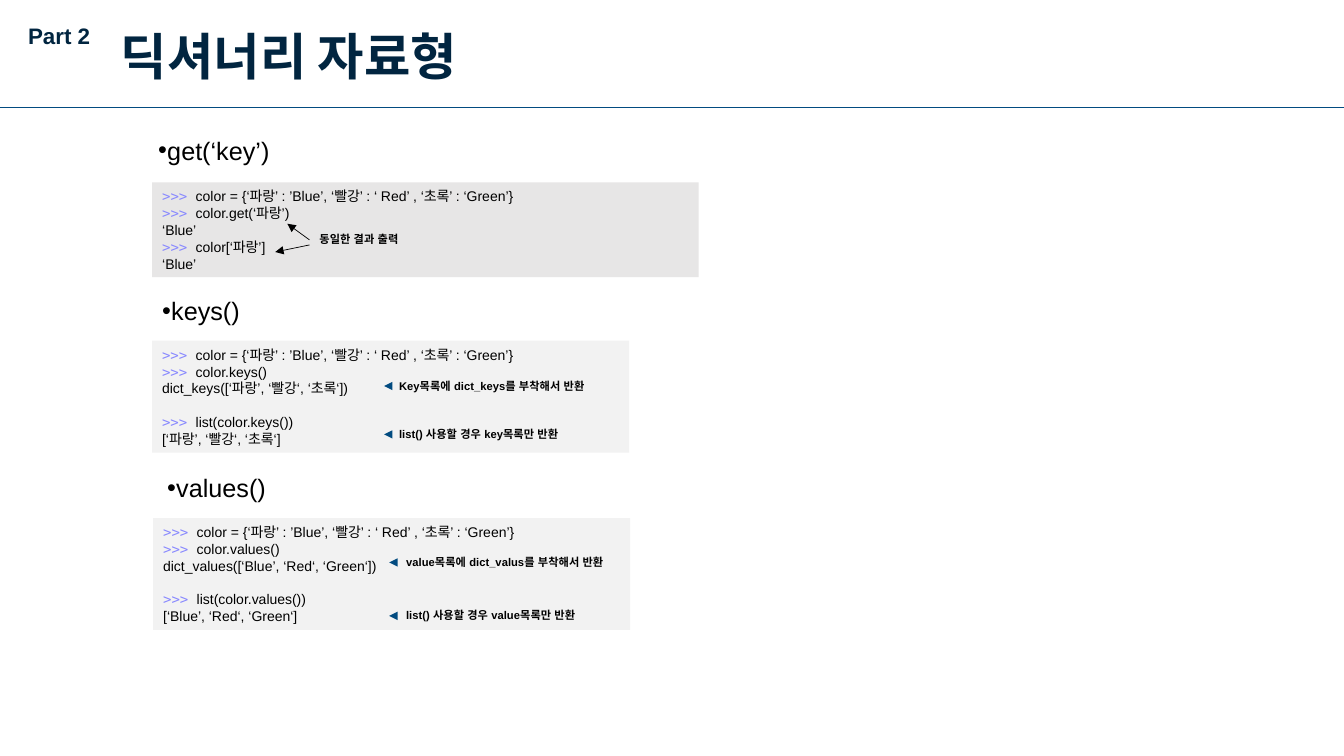
from lxml import etree
from pptx import Presentation
from pptx.dml.color import RGBColor
from pptx.enum.shapes import MSO_CONNECTOR, MSO_SHAPE
from pptx.enum.text import MSO_ANCHOR, MSO_AUTO_SIZE, PP_ALIGN
from pptx.oxml.ns import qn
from pptx.util import Inches, Pt

STRAIGHT = MSO_CONNECTOR.STRAIGHT
RECTANGLE = MSO_SHAPE.RECTANGLE
LEFT = PP_ALIGN.LEFT
MIDDLE = MSO_ANCHOR.MIDDLE
NO_AUTOFIT = MSO_AUTO_SIZE.NONE

COLORS = {
    "navy": "012540",
    "blue": "024B80",
    "prompt": "8888FF",
    "black": "000000",
    "gray": "E7E6E6",
    "light": "F2F2F2",
}
SANS, MONO, KOREAN = "Arial", "DejaVu Sans Mono", "Noto Sans CJK KR"
LEFT_SIDE = 1
PROMPT = ">>> "
ASSIGNMENT = PROMPT + "color = {‘파랑’ : ’Blue’, ‘빨강’ : ‘ Red’ , ‘초록’ : ‘Green’}"

# Each section: heading, heading position and width, code box, fill, code lines.
# An empty code line opens a gap of one line.
SECTIONS = [
    ("get(‘key’)", (1.47, 1.29, 2.51), (1.51, 1.81, 5.42, 0.94), "gray",
     [ASSIGNMENT, PROMPT + "color.get(‘파랑’)", "‘Blue’",
      PROMPT + "color[‘파랑’]", "‘Blue’"]),
    ("keys()", (1.51, 2.88, 2.24), (1.51, 3.38, 4.73, 1.11), "light",
     [ASSIGNMENT, PROMPT + "color.keys()", "dict_keys([‘파랑’, ‘빨강‘, ‘초록‘])", "",
      PROMPT + "list(color.keys())", "[‘파랑’, ‘빨강‘, ‘초록‘]"]),
    ("values()", (1.56, 4.64, 1.56), (1.52, 5.14, 4.73, 1.11), "light",
     [ASSIGNMENT, PROMPT + "color.values()", "dict_values([‘Blue’, ‘Red‘, ‘Green‘])", "",
      PROMPT + "list(color.values())", "[‘Blue’, ‘Red‘, ‘Green‘]"]),
]

# Each note: text, left, top, width, and the point its arrow ends at.
NOTES = [
    ("동일한 결과 출력", 3.07, 2.26, 1.86, (2.85, 2.22), "black"),
    ("Key목록에 dict_keys를 부착해서 반환", 3.86, 3.71, 2.14, (3.81, 3.83), "blue"),
    ("list() 사용할 경우 key목록만 반환", 3.86, 4.19, 2.04, (3.81, 4.31), "blue"),
    ("value목록에 dict_valus를 부착해서 반환", 3.93, 5.46, 2.25, (3.86, 5.58), "blue"),
    ("list() 사용할 경우 value목록만 반환", 3.93, 5.99, 2.04, (3.86, 6.11), "blue"),
]

presentation = Presentation()
presentation.slide_width = Inches(13.33)
presentation.slide_height = Inches(7.5)
slide = presentation.slides.add_slide(presentation.slide_layouts[5])


def add_run(paragraph, text, size, color="black", font_name=SANS, bold=False):
    """Add a run with one font for Latin and Korean, so quotes stay narrow."""
    run = paragraph.add_run()
    run.text = text
    run.font.size = Pt(size)
    run.font.bold = bold
    run.font.color.rgb = RGBColor.from_string(COLORS[color])
    run.font.name = font_name
    east_asian = etree.SubElement(run.font._element, qn("a:ea"))
    east_asian.set("typeface", font_name)


def add_line(start, end, color, arrow=True):
    points = [Inches(value) for value in (*start, *end)]
    connector = slide.shapes.add_connector(STRAIGHT, *points)
    connector.line.width = Pt(0.5)
    connector.line.color.rgb = RGBColor.from_string(COLORS[color])
    if arrow:
        tail = etree.SubElement(connector.line._get_or_add_ln(), qn("a:tailEnd"))
        tail.set("type", "triangle")
    etree.SubElement(connector._element.spPr, qn("a:effectLst"))
    return connector


# Header
add_line((0, 1.07), (13.33, 1.07), "blue", arrow=False)

part_label = slide.shapes.add_textbox(Inches(0.18), Inches(0.17), Inches(0.92), Inches(0.37))
part_label.text_frame.word_wrap = True
add_run(part_label.text_frame.paragraphs[0], "Part 2", 16, "navy", bold=True)

title = slide.shapes.title
title.left, title.top = Inches(1.1), Inches(0.19)
title.width, title.height = Inches(4.12), Inches(0.71)
title.text_frame.auto_size = NO_AUTOFIT
title.text_frame.vertical_anchor = MIDDLE
title_paragraph = title.text_frame.paragraphs[0]
title_paragraph.alignment = LEFT
add_run(title_paragraph, "딕셔너리 자료형", 36, "navy", KOREAN, bold=True)

# Method headings and code boxes
for heading, (left, top, width), code_box, fill, code_lines in SECTIONS:
    heading_box = slide.shapes.add_textbox(
        Inches(left), Inches(top), Inches(width), Inches(0.4))
    heading_box.text_frame.word_wrap = True
    paragraph = heading_box.text_frame.paragraphs[0]
    properties = paragraph._p.get_or_add_pPr()
    properties.set("marL", str(Inches(0.09)))
    properties.set("indent", str(Inches(-0.09)))
    etree.SubElement(properties, qn("a:buFont")).set("typeface", SANS)
    etree.SubElement(properties, qn("a:buChar")).set("char", "•")
    add_run(paragraph, heading, 18)

    code = slide.shapes.add_shape(RECTANGLE, *[Inches(value) for value in code_box])
    code.shadow.inherit = False
    code.fill.solid()
    code.fill.fore_color.rgb = RGBColor.from_string(COLORS[fill])
    code.line.fill.background()
    frame = code.text_frame
    frame.word_wrap = True
    frame.vertical_anchor = MIDDLE
    gap = 0
    for index, code_line in enumerate(code_lines):
        if not code_line:
            gap = 12
            continue
        paragraph = frame.add_paragraph() if index else frame.paragraphs[0]
        paragraph.alignment = LEFT
        if gap:
            paragraph.space_before = Pt(gap)
            gap = 0
        if code_line.startswith(PROMPT):
            add_run(paragraph, PROMPT, 10, "prompt", MONO)
        add_run(paragraph, code_line.removeprefix(PROMPT), 10)

# Notes with arrows pointing at the code
for text, left, top, width, target, color in NOTES:
    note = slide.shapes.add_textbox(Inches(left), Inches(top), Inches(width), Inches(0.24))
    note.text_frame.word_wrap = True
    add_run(note.text_frame.paragraphs[0], text, 8, bold=True)
    arrow = add_line((left, top + 0.12), target, color)
    arrow.begin_connect(note, LEFT_SIDE)

add_line((3.07, 2.43), (2.73, 2.5), "black")

presentation.save("out.pptx")
